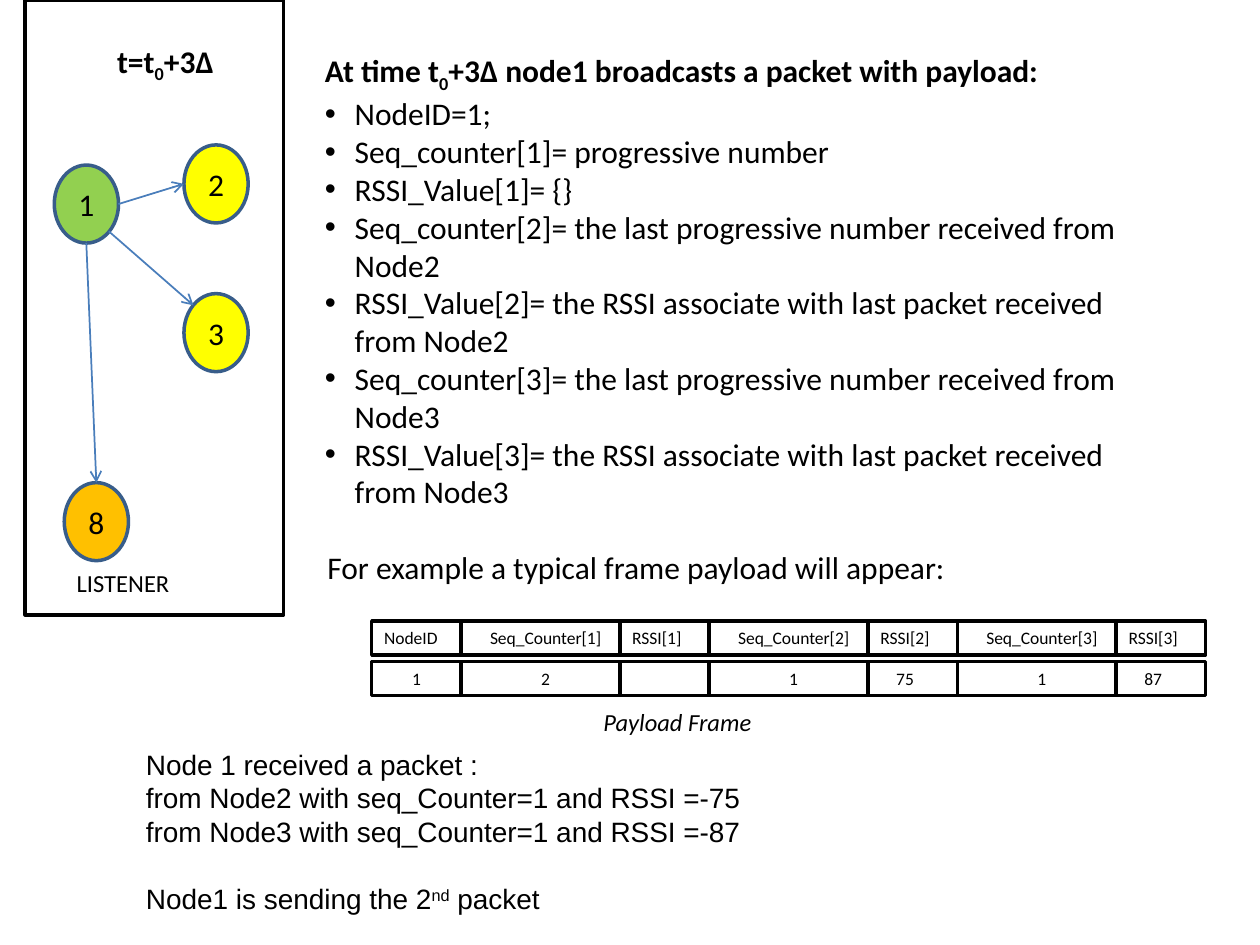
from lxml import etree
from pptx import Presentation
from pptx.dml.color import RGBColor
from pptx.enum.shapes import MSO_CONNECTOR, MSO_SHAPE
from pptx.enum.text import MSO_ANCHOR, PP_ALIGN
from pptx.oxml.ns import qn
from pptx.util import Pt

OVAL, RECTANGLE = MSO_SHAPE.OVAL, MSO_SHAPE.RECTANGLE
STRAIGHT = MSO_CONNECTOR.STRAIGHT
LEFT, CENTER = PP_ALIGN.LEFT, PP_ALIGN.CENTER
TOP, MIDDLE = MSO_ANCHOR.TOP, MSO_ANCHOR.MIDDLE

COLORS = {
    "black": "000000", "white": "FFFFFF", "node_line": "385D8A", "arrow": "4A7EBB",
    "sender": "92D050", "neighbour": "FFFF00", "listener": "FFC000",
}
BODY = {"name": "Calibri", "size": Pt(18)}
BOLD = {**BODY, "bold": True}
LABEL = {**BODY, "size": Pt(14)}
CAPTION = {**LABEL, "italic": True}
CELL = {**BODY, "size": Pt(10)}
NOTE = {"name": "Arial", "size": Pt(16)}
SUBSCRIPT, SUPERSCRIPT = -25000, 30000
BULLET_INDENT = 17


def color(name):
    return RGBColor.from_string(COLORS[name])


def write_paragraph(paragraph, runs, font, **layout):
    """Runs are (text, baseline shift) pairs, or one plain string."""
    for name, value in layout.items():
        setattr(paragraph, name, value)
    for text, baseline in [(runs, 0)] if isinstance(runs, str) else runs:
        run = paragraph.add_run()
        run.text = text
        for name, value in font.items():
            setattr(run.font, name, value)
        run.font.color.rgb = color("black")
        if baseline:
            run.font._element.set("baseline", str(baseline))


def set_indent(paragraph, left, first=0):
    properties = paragraph._p.get_or_add_pPr()
    properties.set("marL", str(Pt(left)))
    properties.set("indent", str(Pt(first)))
    return properties


def add_bullet(paragraph):
    properties = set_indent(paragraph, BULLET_INDENT, -BULLET_INDENT)
    etree.SubElement(properties, qn("a:buFont"), typeface="Arial")
    etree.SubElement(properties, qn("a:buChar"), char="•")


def add_text(slide, box, paragraphs, wrap=True):
    """Paragraphs are (runs, font) pairs; returns the paragraph objects."""
    frame = slide.shapes.add_textbox(*map(Pt, box)).text_frame
    frame.word_wrap = wrap
    for index, (runs, font) in enumerate(paragraphs):
        paragraph = frame.add_paragraph() if index else frame.paragraphs[0]
        write_paragraph(paragraph, runs, font)
    return frame.paragraphs


def add_box(slide, kind, box, line, fill=None):
    shape = slide.shapes.add_shape(kind, *map(Pt, box))
    shape.shadow.inherit = False
    if fill:
        shape.fill.solid()
        shape.fill.fore_color.rgb = color(fill)
    else:
        shape.fill.background()
    shape.line.color.rgb = color(line)
    shape.line.width = Pt(2)
    return shape


def add_arrow(slide, start, end):
    connector = slide.shapes.add_connector(STRAIGHT, *map(Pt, (*start, *end)))
    connector.line.color.rgb = color("arrow")
    connector.line.width = Pt(1)
    etree.SubElement(connector.line._get_or_add_ln(), qn("a:tailEnd"), type="arrow")
    etree.SubElement(connector._element.spPr, qn("a:effectLst"))


def draw_network(slide, box):
    left, top, _, _ = box
    width, height = 36.7, 44.6
    nodes = {
        "1": (16.6, 94.3, "sender"),
        "2": (90.7, 82.8, "neighbour"),
        "3": (90.7, 167.8, "neighbour"),
        "8": (22.3, 275.8, "listener"),
    }

    def point_on(node, across, down):
        x, y, _ = nodes[node]
        return left + x + across * width, top + y + down * height

    add_box(slide, RECTANGLE, box, "black")
    add_text(slide, (left + 45.4, top + 20.2, 73.4, 31.7),
             [([("t=t", 0), ("0", SUBSCRIPT), ("+3Δ", 0)], BOLD)])
    for name, (x, y, fill) in nodes.items():
        shape = add_box(slide, OVAL, (left + x, top + y, width, height), "node_line", fill)
        shape.text_frame.vertical_anchor = MIDDLE
        write_paragraph(shape.text_frame.paragraphs[0], name, BODY, alignment=CENTER)
    add_text(slide, (left + 22.3, top + 321.1, 68.4, 24.5), [("LISTENER", LABEL)])

    add_arrow(slide, point_on("1", 1, 0.5), point_on("2", 0, 0.5))
    add_arrow(slide, point_on("1", 0.85, 0.85), point_on("3", 0.15, 0.15))
    add_arrow(slide, point_on("1", 0.5, 1), point_on("8", 0.5, 0))


def draw_payload_list(slide, box):
    heading = [("At time t", 0), ("0", SUBSCRIPT),
               ("+3Δ node1 broadcasts a packet with payload:", 0)]
    items = ["NodeID=1;", "Seq_counter[1]= progressive number", "RSSI_Value[1]= {}"]
    for node in (2, 3):
        items += [
            f"Seq_counter[{node}]= the last progressive number received from Node{node}",
            f"RSSI_Value[{node}]= the RSSI associate with last packet received from Node{node}",
        ]
    paragraphs = add_text(slide, box, [(heading, BOLD)] + [(item, BODY) for item in items])
    for paragraph in paragraphs[1:]:
        add_bullet(paragraph)


def draw_payload_frame(slide, box):
    """Each wide cell runs under the narrow cell to its right."""
    left, top, _, height = box
    row_step, cell_height = 23, height - 23
    narrow, wide, wide_step = 51.1, 96.5, 90.7
    rows = [["NodeID"], ["1"]]
    for node, (counter, rssi) in enumerate([("2", ""), ("1", "75"), ("1", "87")], 1):
        rows[0] += [f"Seq_Counter[{node}]", f"RSSI[{node}]"]
        rows[1] += [counter, rssi]

    for row, texts in enumerate(rows):
        x = left
        for column, text in enumerate(texts):
            is_wide = column % 2 == 1
            cell = add_box(slide, RECTANGLE,
                           (x, top + row * row_step, wide if is_wide else narrow, cell_height),
                           "black", "white")
            x += wide_step if is_wide else narrow
            if not text:
                continue
            cell.text_frame.vertical_anchor = TOP
            paragraph = cell.text_frame.paragraphs[0]
            centered = is_wide or text == "1"
            write_paragraph(paragraph, text, CELL, alignment=CENTER if centered else LEFT)
            if row and not centered:
                set_indent(paragraph, 9)


def draw_notes(slide, box):
    received = [f"from Node{node} with seq_Counter=1 and RSSI =-{rssi}"
                for node, rssi in ((2, 75), (3, 87))]
    sending = [("Node1 is sending the 2", 0), ("nd", SUPERSCRIPT), (" packet", 0)]
    lines = ["Node 1 received a packet :", *received, sending]
    paragraphs = add_text(slide, box, [(line, NOTE) for line in lines])
    paragraphs[-1].space_before = Pt(19.2)


def main():
    presentation = Presentation()
    presentation.slide_width, presentation.slide_height = Pt(720), Pt(540)
    slide = presentation.slides.add_slide(presentation.slide_layouts[6])
    draw_payload_list(slide, (178.6, 25.9, 496.1, 290.9))
    draw_network(slide, (14.4, 0, 147.6, 351.4))
    draw_payload_frame(slide, (212.4, 355, 476, 42.4))
    add_text(slide, (337.7, 400.3, 99.4, 24.5), [("Payload Frame", CAPTION)], wrap=False)
    draw_notes(slide, (76.3, 423.4, 617.8, 103.7))
    add_text(slide, (180, 309.6, 457.9, 28.8),
             [("For example a typical frame payload will appear:", BODY)])
    presentation.save("out.pptx")


if __name__ == "__main__":
    main()
